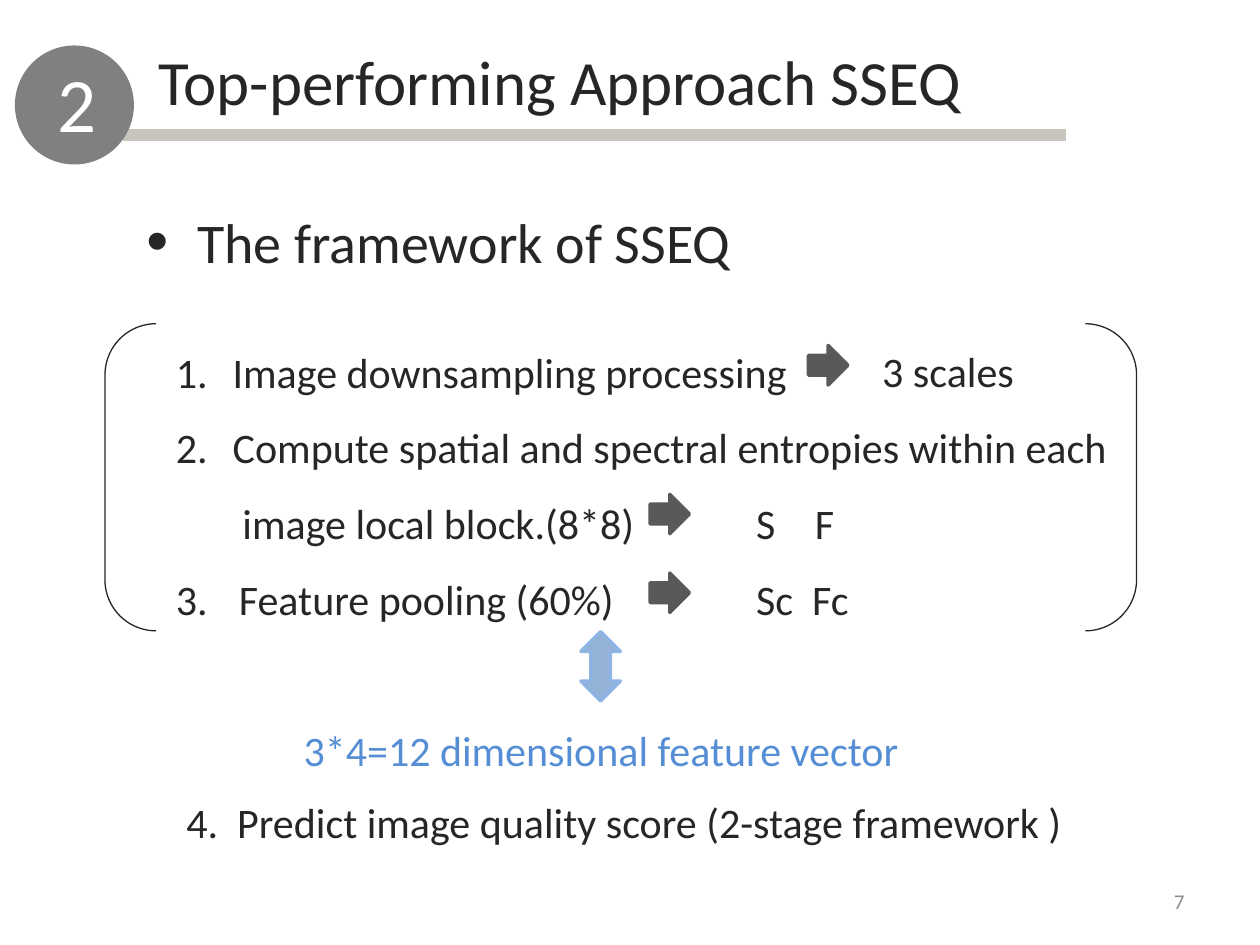
"""Build the slide on the framework of the SSEQ approach."""
from lxml.etree import SubElement
from pptx import Presentation
from pptx.dml.color import RGBColor
from pptx.enum.shapes import MSO_CONNECTOR as Connector, MSO_SHAPE as Shape
from pptx.enum.text import MSO_ANCHOR as Anchor, PP_ALIGN as Align
from pptx.oxml.ns import qn
from pptx.util import Pt

INK = RGBColor(0x26, 0x26, 0x26)
WHITE = RGBColor(0xFF, 0xFF, 0xFF)
GRAY = RGBColor(0x80, 0x80, 0x80)
PAGE_GRAY = RGBColor(0x8C, 0x8C, 0x8C)
RULE = RGBColor(0xC8, 0xC5, 0xBC)
ARROW = RGBColor(0x59, 0x59, 0x59)
BLUE_TEXT = RGBColor(0x55, 0x8E, 0xD5)
BLUE_FILL = RGBColor(0x95, 0xB3, 0xD7)
BLUE_LINE = RGBColor(0x8E, 0xB4, 0xE3)

presentation = Presentation()
presentation.slide_width, presentation.slide_height = Pt(720), Pt(540)
slide = presentation.slides.add_slide(presentation.slide_layouts[6])


def add_text(box, paragraphs, anchor=Anchor.TOP):
    frame = slide.shapes.add_textbox(*map(Pt, box)).text_frame
    frame.word_wrap = True
    frame.vertical_anchor = anchor
    for index, (text, size, color, layout, bullet) in enumerate(paragraphs):
        paragraph = frame.paragraphs[0] if index == 0 else frame.add_paragraph()
        for name, value in layout.items():
            setattr(paragraph, name, value)
        properties = paragraph._p.get_or_add_pPr()
        if bullet:
            margin, hanging, elements = bullet
            properties.set("marL", str(Pt(margin)))
            properties.set("indent", str(-Pt(hanging)))
            for tag, attributes in elements.items():
                SubElement(properties, qn(tag), attributes)
        run = paragraph.add_run()
        run.text = text
        font_format = {"name": "Calibri", "size": Pt(size)}
        for name, value in font_format.items():
            setattr(run.font, name, value)
        run.font.color.rgb = color


def add_shape(kind, box, fill=None, line=None, width=2):
    shape = slide.shapes.add_shape(kind, *map(Pt, box))
    shape.shadow.inherit = False
    for target, color in ((shape.fill, fill), (shape.line.fill, line)):
        if color is None:
            target.background()
        else:
            target.solid()
            target.fore_color.rgb = color
    if line is not None:
        shape.line.width = Pt(width)


add_text((82, 21, 476, 51),
         [("Top-performing Approach SSEQ", 36, INK, {"alignment": Align.CENTER}, None)])

rule = slide.shapes.add_connector(Connector.STRAIGHT, Pt(70.5), Pt(77), Pt(609), Pt(77))
rule.line.color.rgb = RULE
rule.line.width = Pt(7)
SubElement(rule._element.spPr, qn("a:effectLst"))

add_shape(Shape.OVAL, (8.5, 26, 68, 68), GRAY)
add_text((25.5, 28, 51, 60), [("2", 44, WHITE, {}, None)])

dot = {"a:buSzPct": {"val": "112000"}, "a:buFont": {"typeface": "Arial"},
       "a:buChar": {"char": "•"}}
add_text((76.5, 115, 572, 60),
         [("The framework of SSEQ", 32, INK, {}, (29, 29, dot))])

numbers = [{"a:buFont": {"typeface": "+mj-lt"},
            "a:buAutoNum": {"type": "arabicPeriod", "startAt": str(start)}}
           for start in (1, 3, 4)]
spaced = {"line_spacing": 1.5}
add_text((93.5, 180, 615, 269), [
    ("Image downsampling processing", 24, INK, spaced, (32.4, 32.4, numbers[0])),
    ("Compute spatial and spectral entropies within each", 24, INK, spaced,
     (32.4, 32.4, numbers[0])),
    ("image local block.(8*8)", 24, INK, spaced, (38, 0, {"a:buNone": {}})),
    ("Feature pooling (60%)", 24, INK, spaced, (36, 36, numbers[1])),
    ("3*4=12 dimensional feature vector", 24, BLUE_TEXT,
     {**spaced, "space_before": Pt(43)}, (73, 0, {"a:buNone": {}})),
])

outputs = [("3 scales", 497, 194, 110), ("S", 425, 281, 34), ("F", 458.5, 281, 34),
           ("Sc", 425, 324, 40), ("Fc", 457, 324, 40)]
for text, left, top, width in outputs:
    add_text((left, top, width, 36), [(text, 24, INK, {}, None)])

for left, top in ((462, 197.5), (371.5, 282.5), (371.5, 327.5)):
    add_shape(Shape.RIGHT_ARROW, (left, top, 22.5, 22.5), ARROW, ARROW)
add_shape(Shape.DOUBLE_BRACKET, (60, 185, 589.5, 175.5), None, INK, 0.75)
add_shape(Shape.UP_DOWN_ARROW, (332, 361, 22.5, 39.5), BLUE_FILL, BLUE_LINE)

add_text((99.5, 451.5, 584, 36),
         [("Predict image quality score (2-stage framework )", 24, INK, {},
           (29, 29, numbers[2]))])
add_text((516, 500.5, 168, 29),
         [("7", 12, PAGE_GRAY, {"alignment": Align.RIGHT}, None)], Anchor.MIDDLE)

presentation.save("out.pptx")
